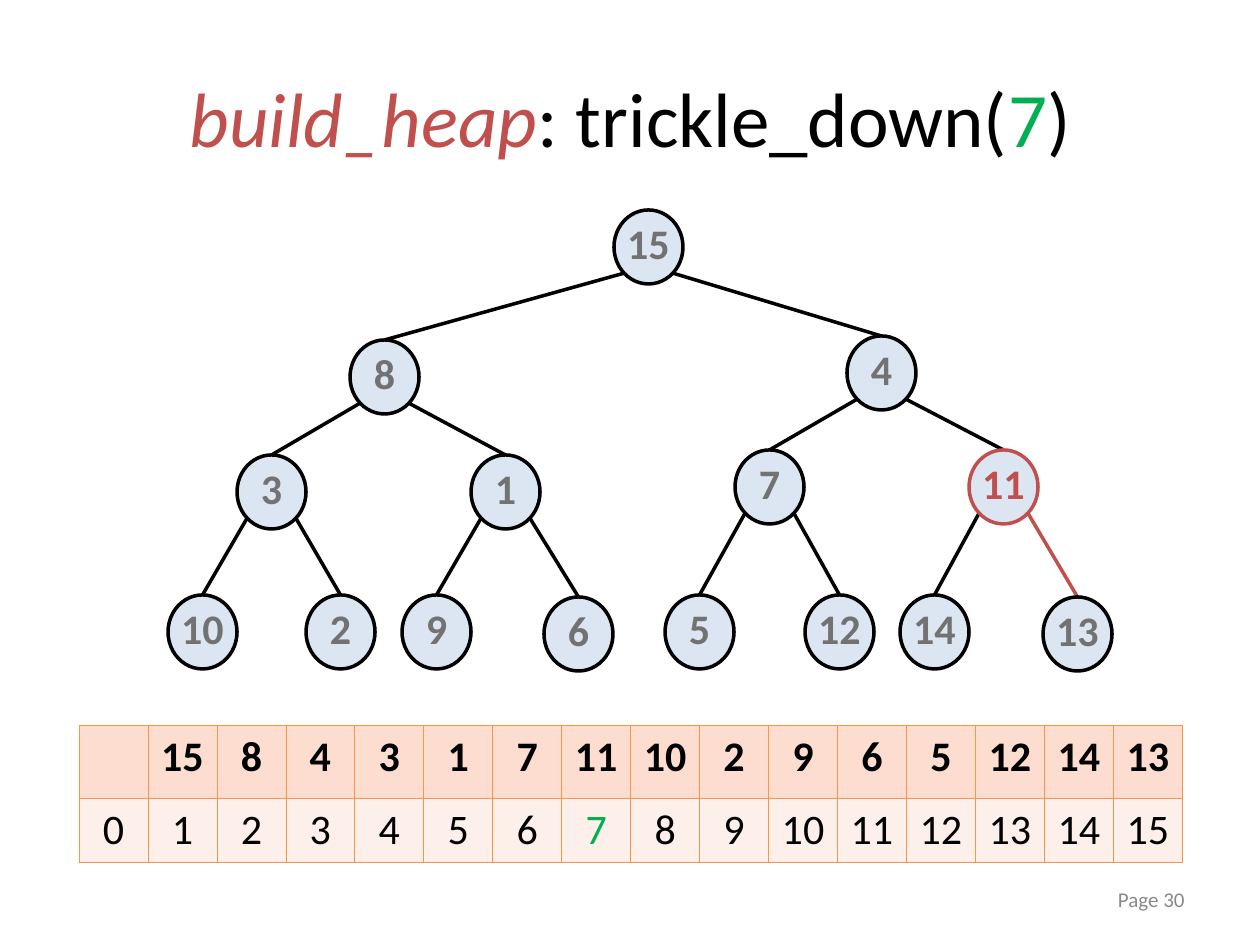
from math import sqrt

from lxml.etree import SubElement
from pptx import Presentation
from pptx.dml.color import RGBColor
from pptx.enum.shapes import MSO_CONNECTOR, MSO_SHAPE
from pptx.enum.text import MSO_ANCHOR, PP_ALIGN
from pptx.oxml.ns import qn
from pptx.util import Emu, Pt

SCALE = 914400 / 126
FONT = "Calibri"
BLACK = RGBColor(0x00, 0x00, 0x00)
RED = RGBColor(0xC0, 0x50, 0x4D)
GREEN = RGBColor(0x00, 0xB0, 0x50)
NODE_FILL = RGBColor(0xDC, 0xE6, 0xF2)
NODE_TEXT = RGBColor(0x72, 0x72, 0x72)
PAGE_TEXT = RGBColor(0x89, 0x89, 0x89)
KEY_FILL = RGBColor(0xFC, 0xDD, 0xCF)
INDEX_FILL = RGBColor(0xFD, 0xEF, 0xE9)
GRID_LINE = RGBColor(0xF7, 0x96, 0x46)

NODE_WIDTH, NODE_HEIGHT = 69, 74
COLUMN_WIDTH = 69
ROW_HEIGHTS = (73, 64)
ACTIVE_INDEX = 7
ACTIVE_CHILD = 15
HEAP = [15, 8, 4, 3, 1, 7, 11, 10, 2, 9, 6, 5, 12, 14, 13]
NODE_CORNERS = [
    (614, 210),
    (350, 340), (847, 336),
    (237, 455), (471, 455), (735, 450), (969, 450),
    (168, 595), (306, 595), (402, 595), (544, 597),
    (665, 595), (805, 595), (900, 595), (1043, 597),
]


def px(length):
    """Turn px into EMU."""
    return Emu(round(length * SCALE))


def add_run(paragraph, text, size, color, bold=False, italic=False):
    """Append one formatted run to a paragraph."""
    run = paragraph.add_run()
    run.text = text
    run.font.name = FONT
    run.font.size = Pt(size)
    run.font.bold = bold
    run.font.italic = italic
    run.font.color.rgb = color


def add_heading(slide):
    """Fill the title placeholder."""
    title = slide.shapes.title
    title.left, title.top, title.width, title.height = map(px, (63, 38, 1134, 157))
    title.text_frame.vertical_anchor = MSO_ANCHOR.MIDDLE
    heading = title.text_frame.paragraphs[0]
    heading.alignment = PP_ALIGN.CENTER
    add_run(heading, "build_heap", 44, RED, italic=True)
    add_run(heading, ": trickle_down(", 44, BLACK)
    add_run(heading, "7", 44, GREEN)
    add_run(heading, ")", 44, BLACK)


def add_page_number(slide):
    """Write the page number at the bottom right."""
    footer = slide.shapes.add_textbox(*map(px, (903, 876, 294, 50))).text_frame
    footer.word_wrap = True
    footer.vertical_anchor = MSO_ANCHOR.MIDDLE
    page = footer.paragraphs[0]
    page.alignment = PP_ALIGN.RIGHT
    page.line_spacing = 0.85
    add_run(page, "Page 30", 12, PAGE_TEXT)


def add_edge(slide, child_index):
    """Join a heap node to its parent's lower diagonal."""
    parent_left, parent_top = NODE_CORNERS[child_index // 2 - 1]
    child_left, child_top = NODE_CORNERS[child_index - 1]
    side = 1 if child_index % 2 else -1
    start_x = parent_left + NODE_WIDTH / 2 * (1 + side / sqrt(2))
    start_y = parent_top + NODE_HEIGHT / 2 * (1 + 1 / sqrt(2))
    edge = slide.shapes.add_connector(
        MSO_CONNECTOR.STRAIGHT, px(start_x), px(start_y),
        px(child_left + NODE_WIDTH / 2), px(child_top))
    edge.line.width = Pt(2)
    edge.line.color.rgb = RED if child_index == ACTIVE_CHILD else BLACK
    SubElement(edge._element.spPr, qn("a:effectLst"))


def add_node(slide, index):
    """Draw one heap node with its key."""
    left, top = NODE_CORNERS[index - 1]
    active = index == ACTIVE_INDEX
    node = slide.shapes.add_shape(
        MSO_SHAPE.OVAL, px(left), px(top), px(NODE_WIDTH), px(NODE_HEIGHT))
    node.shadow.inherit = False
    node.fill.solid()
    node.fill.fore_color.rgb = NODE_FILL
    node.line.width = Pt(2)
    node.line.color.rgb = RED if active else BLACK
    node.text_frame.word_wrap = False
    node.text_frame.vertical_anchor = MSO_ANCHOR.MIDDLE
    key = node.text_frame.paragraphs[0]
    key.alignment = PP_ALIGN.CENTER
    key.line_spacing = 0.85
    add_run(key, str(HEAP[index - 1]), 24, RED if active else NODE_TEXT, bold=True)


def add_borders(cell):
    """Draw thin lines on all four sides of a cell."""
    properties = cell._tc.get_or_add_tcPr()
    for side in ("L", "R", "T", "B"):
        border = SubElement(properties, qn(f"a:ln{side}"), w=str(Pt(0.45)))
        fill = SubElement(border, qn("a:solidFill"))
        SubElement(fill, qn("a:srgbClr"), val=str(GRID_LINE))


def fill_cell(cell, text, background, color, bold):
    """Format one array cell and write its text."""
    add_borders(cell)
    cell.fill.solid()
    cell.fill.fore_color.rgb = background
    entry = cell.text_frame.paragraphs[0]
    entry.alignment = PP_ALIGN.CENTER
    if text:
        add_run(entry, text, 24, color, bold)


def add_array(slide):
    """Show the heap as an array of keys above their indices."""
    count = len(HEAP) + 1
    array = slide.shapes.add_table(
        2, count, px(79), px(725), px(COLUMN_WIDTH * count), px(sum(ROW_HEIGHTS))).table
    for row, height in zip(array.rows, ROW_HEIGHTS):
        row.height = px(height)
    for index, key in enumerate(["", *HEAP]):
        array.columns[index].width = px(COLUMN_WIDTH)
        index_color = GREEN if index == ACTIVE_INDEX else BLACK
        fill_cell(array.cell(0, index), str(key), KEY_FILL, BLACK, True)
        fill_cell(array.cell(1, index), str(index), INDEX_FILL, index_color, False)


def main():
    """Build the heap slide and save it."""
    presentation = Presentation()
    presentation.slide_width, presentation.slide_height = px(1260), px(945)
    slide = presentation.slides.add_slide(presentation.slide_layouts[5])
    add_heading(slide)
    add_page_number(slide)
    for child_index in range(2, len(HEAP) + 1):
        add_edge(slide, child_index)
    for index in range(1, len(HEAP) + 1):
        add_node(slide, index)
    add_array(slide)
    presentation.save("out.pptx")


if __name__ == "__main__":
    main()
